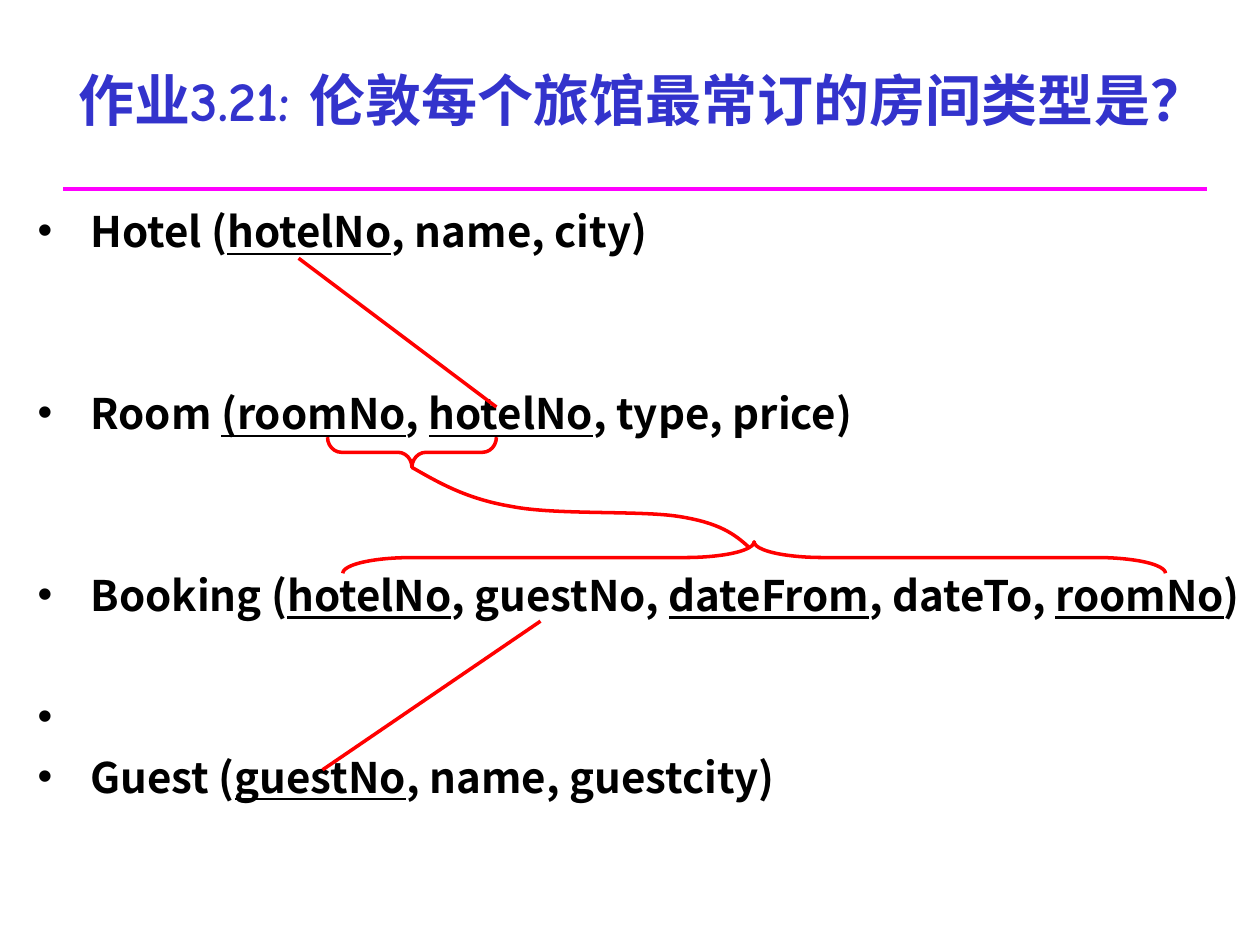
from dataclasses import dataclass

from lxml import etree
from pptx import Presentation
from pptx.dml.color import RGBColor
from pptx.enum.shapes import MSO_CONNECTOR as Connector, MSO_SHAPE as Shape
from pptx.enum.text import MSO_ANCHOR as Anchor, PP_ALIGN as Align
from pptx.oxml.ns import qn
from pptx.util import Inches, Pt

RED, MAGENTA, BLUE, BLACK = "FF0000", "FF00FF", "3333CC", "000000"
LATIN_TITLE, SANS = "Comic Neue", "Noto Sans CJK SC"
ROW_GAP = 3  # points before each schema line
ROW_PITCH = 34.65  # points from one line to the next, gap included


@dataclass
class Relation:
    """A schema line; key attributes are wrapped in underscores."""
    schema: str
    rows_above: int = 0


@dataclass
class KeyBrace:
    """A horizontal brace with its point at the middle, up or down."""
    left: float
    top: float
    width: float
    height: float
    rotation: int
    curl: float


RELATIONS = [
    Relation("Hotel (_hotelNo_, name, city)"),
    Relation("Room _(roomNo_, _hotelNo_, type, price)", 2),
    Relation("Booking (_hotelNo_, guestNo, _dateFrom_, dateTo, _roomNo_)", 2),
    Relation(" ", 1),
    Relation("Guest (_guestNo_, name, guestcity)"),
]
BRACES = [
    KeyBrace(2.6, 3.47, 1.34, 0.24, 270, 0.46),
    KeyBrace(2.72, 4.3, 6.53, 0.25, 90, 2.18),
]
FOREIGN_KEYS = [((2.37, 2.05), (3.94, 3.23)), ((2.56, 6.11), (4.29, 4.93))]
ROOM_TO_BOOKING = [
    (3.27, 3.71),
    (3.48, 3.83), (3.7, 3.96), (4.06, 4.02),
    (4.41, 4.09), (5.08, 4.05), (5.39, 4.1),
    (5.71, 4.15), (5.83, 4.24), (5.94, 4.34),
]


def color(value: str) -> RGBColor:
    return RGBColor.from_string(value)


def add_text(paragraph, text: str, *, size: float, font: str, ink: str,
             underline: bool = False) -> None:
    run = paragraph.add_run()
    run.text = text
    run.font.size = Pt(size)
    run.font.bold = True
    run.font.underline = underline
    run.font.name = font
    run.font.color.rgb = color(ink)
    east_asian = etree.SubElement(run.font._element, qn("a:ea"))
    east_asian.set("typeface", SANS)


def add_frame(slide, left: float, top: float, width: float, height: float,
              anchor: Anchor):
    box = slide.shapes.add_textbox(
        Inches(left), Inches(top), Inches(width), Inches(height))
    box.text_frame.word_wrap = True
    box.text_frame.vertical_anchor = anchor
    return box.text_frame


def add_bullet(paragraph, indent: float) -> None:
    properties = paragraph._p.get_or_add_pPr()
    properties.set("marL", str(Inches(indent)))
    properties.set("indent", str(-Inches(indent)))
    bullet_color = etree.SubElement(properties, qn("a:buClr"))
    etree.SubElement(bullet_color, qn("a:srgbClr")).set("val", BLACK)
    etree.SubElement(properties, qn("a:buFont")).set("typeface", "Arial")
    etree.SubElement(properties, qn("a:buChar")).set("char", "•")


def add_line(slide, start: tuple[float, float], end: tuple[float, float],
             ink: str) -> None:
    line = slide.shapes.add_connector(
        Connector.STRAIGHT, *(Inches(value) for value in (*start, *end)))
    line.line.color.rgb = color(ink)
    line.line.width = Pt(2)
    etree.SubElement(line._element.spPr, qn("a:effectLst"))


def outline(shape, ink: str) -> None:
    shape.shadow.inherit = False
    shape.fill.background()
    shape.line.color.rgb = color(ink)
    shape.line.width = Pt(2)


def add_brace(slide, brace: KeyBrace) -> None:
    """Place an upright brace so that its rotation fills the given box."""
    left = brace.left + (brace.width - brace.height) / 2
    top = brace.top + (brace.height - brace.width) / 2
    shape = slide.shapes.add_shape(
        Shape.LEFT_BRACE, Inches(left), Inches(top),
        Inches(brace.height), Inches(brace.width))
    shape.rotation = brace.rotation
    shape.adjustments[0] = brace.curl
    outline(shape, RED)


def add_curve(slide, points: list[tuple[float, float]], ink: str) -> None:
    """Draw cubic curves: a start, then two controls and an end for each."""
    start, *rest = [(Inches(x), Inches(y)) for x, y in points]
    builder = slide.shapes.build_freeform(*start)
    builder.add_line_segments(rest, close=False)
    curve = builder.convert_to_shape()
    segments = list(curve._element.iter(qn("a:lnTo")))
    route = segments[0].getparent()
    for first in range(0, len(segments), 3):
        cubic = etree.SubElement(route, qn("a:cubicBezTo"))
        for segment in segments[first:first + 3]:
            cubic.append(segment[0])
            route.remove(segment)
    outline(curve, ink)


def add_relations(slide) -> None:
    frame = add_frame(slide, 0.2, 1.54, 9.83, 5.95, Anchor.TOP)
    for index, relation in enumerate(RELATIONS):
        paragraph = frame.add_paragraph() if index else frame.paragraphs[0]
        paragraph.line_spacing = 1.1
        if index:
            gap = ROW_GAP + relation.rows_above * ROW_PITCH
            paragraph.space_before = Pt(round(gap, 2))
        add_bullet(paragraph, 0.42)
        for part, text in enumerate(relation.schema.split("_")):
            if text:
                add_text(paragraph, text, size=24, font=SANS, ink=BLACK,
                         underline=part % 2 == 1)


def main() -> None:
    deck = Presentation()
    deck.slide_width, deck.slide_height = Inches(10), Inches(7.5)
    slide = deck.slides.add_slide(deck.slide_layouts[6])

    add_line(slide, (0.5, 1.5), (9.58, 1.5), MAGENTA)
    heading = add_frame(slide, 0.2, 0.29, 9.8, 1, Anchor.MIDDLE).paragraphs[0]
    heading.alignment = Align.CENTER
    add_text(heading, "作业3.21: 伦敦每个旅馆最常订的房间类型是？",
             size=32, font=LATIN_TITLE, ink=BLUE)
    add_relations(slide)

    for brace in BRACES:
        add_brace(slide, brace)
    add_curve(slide, ROOM_TO_BOOKING, RED)
    for start, end in FOREIGN_KEYS:
        add_line(slide, start, end, RED)
    deck.save("out.pptx")


if __name__ == "__main__":
    main()
